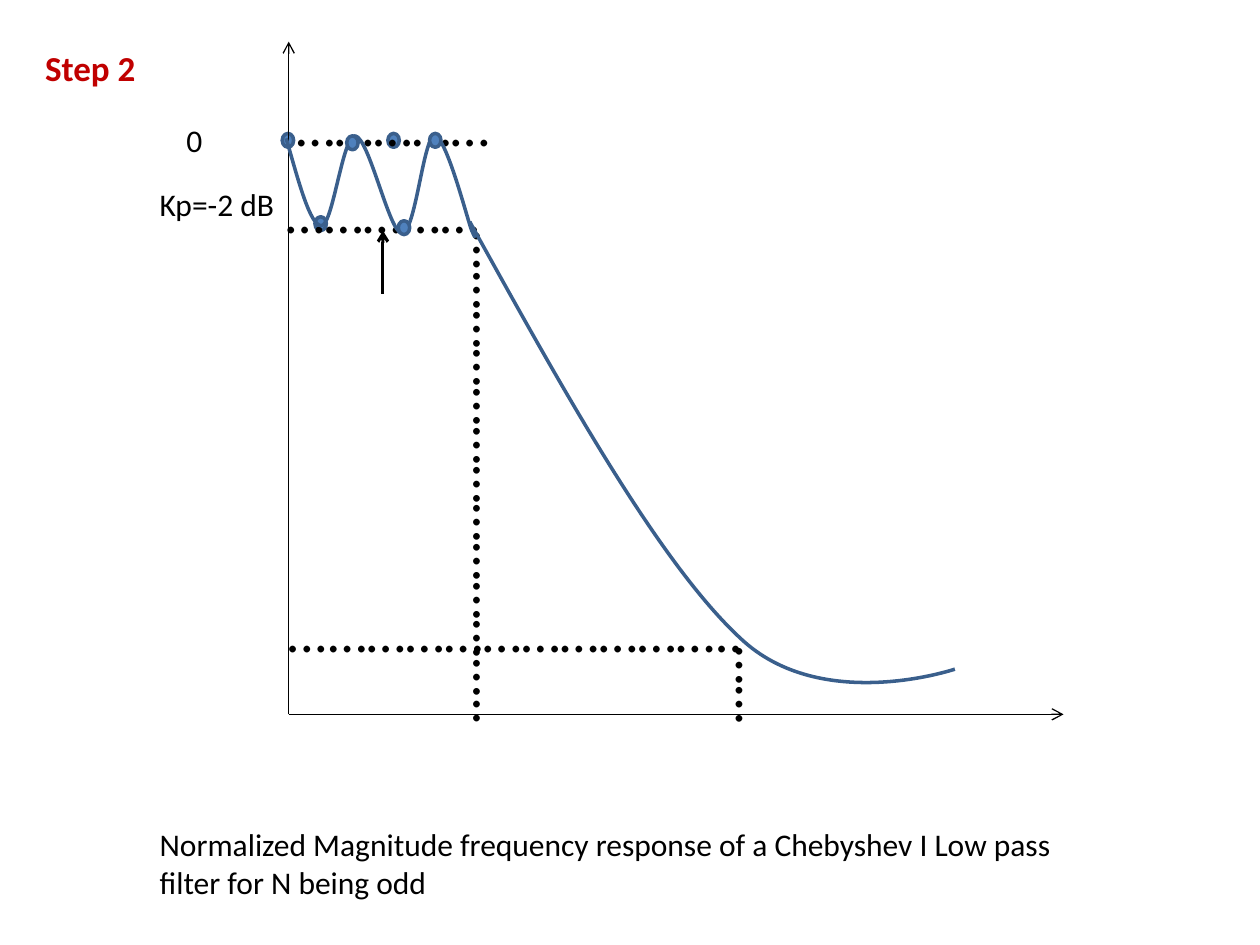
from dataclasses import dataclass

from lxml import etree
from pptx import Presentation
from pptx import util as u
from pptx.dml.color import RGBColor
from pptx.enum import shapes, text
from pptx.oxml.ns import qn

COLORS = {"ink": "000000", "title": "C00000", "dot": "4F81BD", "curve": "3A5F8C"}
DOTTED_H = 1.63
DOT_W, DOT_H = 0.23, 0.28


@dataclass(frozen=True)
class DottedLine:
    """Row of typed dots, with its unrotated frame in centimetres."""

    dots: str
    left: float
    top: float
    width: float
    rotation: int = 0


@dataclass(frozen=True)
class Curve:
    """Chain of cubic segments: a start, then two controls and an end each."""

    points: tuple[tuple[float, float], ...]
    width: float
    height: float


@dataclass(frozen=True)
class Arrow:
    """Straight arrow from start to end."""

    start: tuple[float, float]
    end: tuple[float, float]
    weight: float = 0.75


DOTTED_LINES = (
    DottedLine("……………", 5.51, 3.45, 6.15),
    DottedLine("……………", 5.72, 1.7, 6.15),
    DottedLine("……", 13.94, 13.31, 2.67, 90),
    DottedLine("...…………………………..", 5.51, 11.91, 11.63),
    DottedLine("...……………………………..", 4.17, 9.37, 11.63, 90),
)
ROLL_OFF = Curve(
    ((9.47, 4.47), (11.38, 7.92), (13.31, 11.38), (14.94, 12.88),
     (16.56, 14.4), (19.25, 13.49), (19.25, 13.49)),
    9.78, 9.3,
)
RIPPLE = Curve(
    ((5.77, 2.79), (6.02, 3.66), (6.25, 4.55), (6.48, 4.55),
     (6.71, 4.55), (6.91, 2.72), (7.16, 2.74),
     (7.44, 2.77), (7.85, 4.7), (8.1, 4.7),
     (8.38, 4.7), (8.53, 2.77), (8.76, 2.74),
     (8.99, 2.74), (9.4, 4.34), (9.5, 4.62),
     (9.63, 4.93), (9.55, 4.7), (9.47, 4.47)),
    3.78, 2.03,
)
ORIGIN = (5.82, 14.4)
ARROWS = (
    Arrow((7.72, 5.92), (7.72, 4.65), 1.75),
    Arrow(ORIGIN, (21.44, 14.4)),
    Arrow(ORIGIN, (5.82, 0.84)),
)
DOTS_BEHIND = ((5.69, 2.69), (7.82, 2.69), (6.35, 4.37))
DOTS_IN_FRONT = ((6.99, 2.74), (8.03, 4.45), (8.66, 2.69))


def rgb(name: str) -> RGBColor:
    """Look up a colour by name."""
    return RGBColor.from_string(COLORS[name])


def add_text(s, words: str, left: float, top: float, width: float, height: float,
             *, size: float = 18, color: str = "ink", bold: bool = False,
             rotation: float = 0) -> None:
    """Add a text box holding one formatted run."""
    sp = s.shapes.add_textbox(u.Cm(left), u.Cm(top), u.Cm(width), u.Cm(height))
    sp.rotation = rotation
    tf = sp.text_frame
    tf.word_wrap = True
    tf.auto_size = text.MSO_AUTO_SIZE.SHAPE_TO_FIT_TEXT
    r = tf.paragraphs[0].add_run()
    r.text = words
    r.font.name = "Calibri"
    r.font.size = u.Pt(size)
    r.font.bold = bold
    r.font.color.rgb = rgb(color)


def outline(sp) -> None:
    """Give a shape the curve colour outline and no shadow."""
    sp.shadow.inherit = False
    sp.line.color.rgb = rgb("curve")
    sp.line.width = u.Pt(2)


def add_dots(s, places: tuple[tuple[float, float], ...]) -> None:
    """Mark extrema with small ellipses."""
    for left, top in places:
        sp = s.shapes.add_shape(shapes.MSO_SHAPE.OVAL, u.Cm(left), u.Cm(top),
                                u.Cm(DOT_W), u.Cm(DOT_H))
        sp.fill.solid()
        sp.fill.fore_color.rgb = rgb("dot")
        outline(sp)


def add_curve(s, curve: Curve) -> None:
    """Draw a freeform and merge every three segments into one cubic."""
    first, *rest = [(u.Cm(x), u.Cm(y)) for x, y in curve.points]
    builder = s.shapes.build_freeform(*first)
    builder.add_line_segments(rest, close=False)
    sp = builder.convert_to_shape()
    sp.fill.background()
    outline(sp)
    sp.width, sp.height = u.Cm(curve.width), u.Cm(curve.height)
    geom = next(sp._element.iter(qn("a:path")))
    geom.set("w", str(sp.width))
    geom.set("h", str(sp.height))
    segments = geom.findall(qn("a:lnTo"))
    for i in range(0, len(segments), 3):
        cubic = etree.SubElement(geom, qn("a:cubicBezTo"))
        for segment in segments[i:i + 3]:
            cubic.append(segment[0])
            geom.remove(segment)


def add_arrow(s, arrow: Arrow) -> None:
    """Draw a connector with an open arrowhead at its end."""
    ends = [u.Cm(v) for v in (*arrow.start, *arrow.end)]
    sp = s.shapes.add_connector(shapes.MSO_CONNECTOR.STRAIGHT, *ends)
    sp.line.color.rgb = rgb("ink")
    sp.line.width = u.Pt(arrow.weight)
    etree.SubElement(sp.line._get_or_add_ln(), qn("a:tailEnd"), type="arrow")
    etree.SubElement(sp._element.spPr, qn("a:effectLst"))


def main() -> None:
    """Build the filter response slide."""
    prs = Presentation()
    prs.slide_width, prs.slide_height = u.Cm(25.4), u.Cm(19.05)
    s = prs.slides.add_slide(prs.slide_layouts[6])
    add_dots(s, DOTS_BEHIND)
    for line in DOTTED_LINES:
        add_text(s, line.dots, line.left, line.top, line.width, DOTTED_H,
                 size=32, rotation=line.rotation)
    add_curve(s, ROLL_OFF)
    add_text(s, "Kp=-2 dB", 2.97, 3.61, 2.95, 1.02)
    add_text(s, "0", 3.51, 2.31, 1.37, 1.02)
    for arrow in ARROWS:
        add_arrow(s, arrow)
    add_text(s, "Step 2", 0.66, 0.81, 2.84, 1.12, size=20, color="title", bold=True)
    add_curve(s, RIPPLE)
    add_dots(s, DOTS_IN_FRONT)
    add_text(s, "Normalized Magnitude frequency response of a Chebyshev I Low pass "
             "filter for N being odd", 2.97, 16.51, 19.48, 1.8)
    prs.save("out.pptx")


if __name__ == "__main__":
    main()
